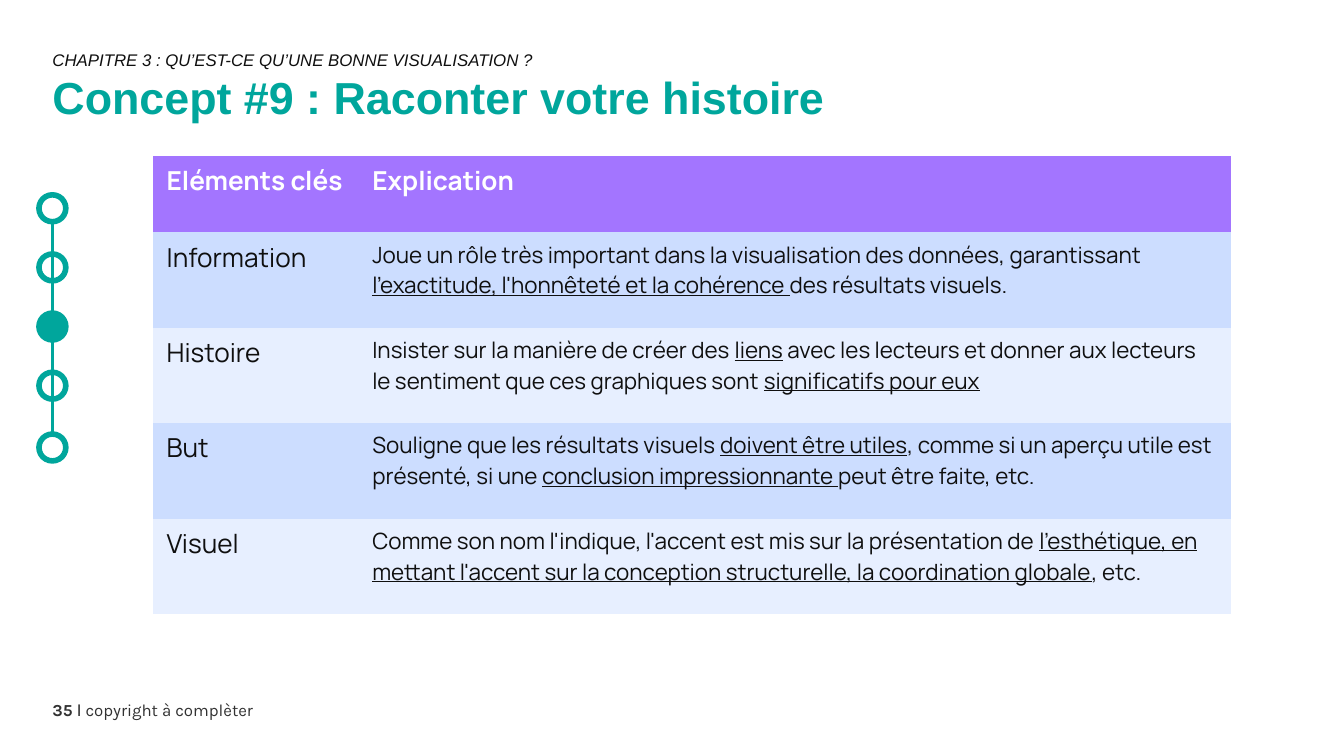
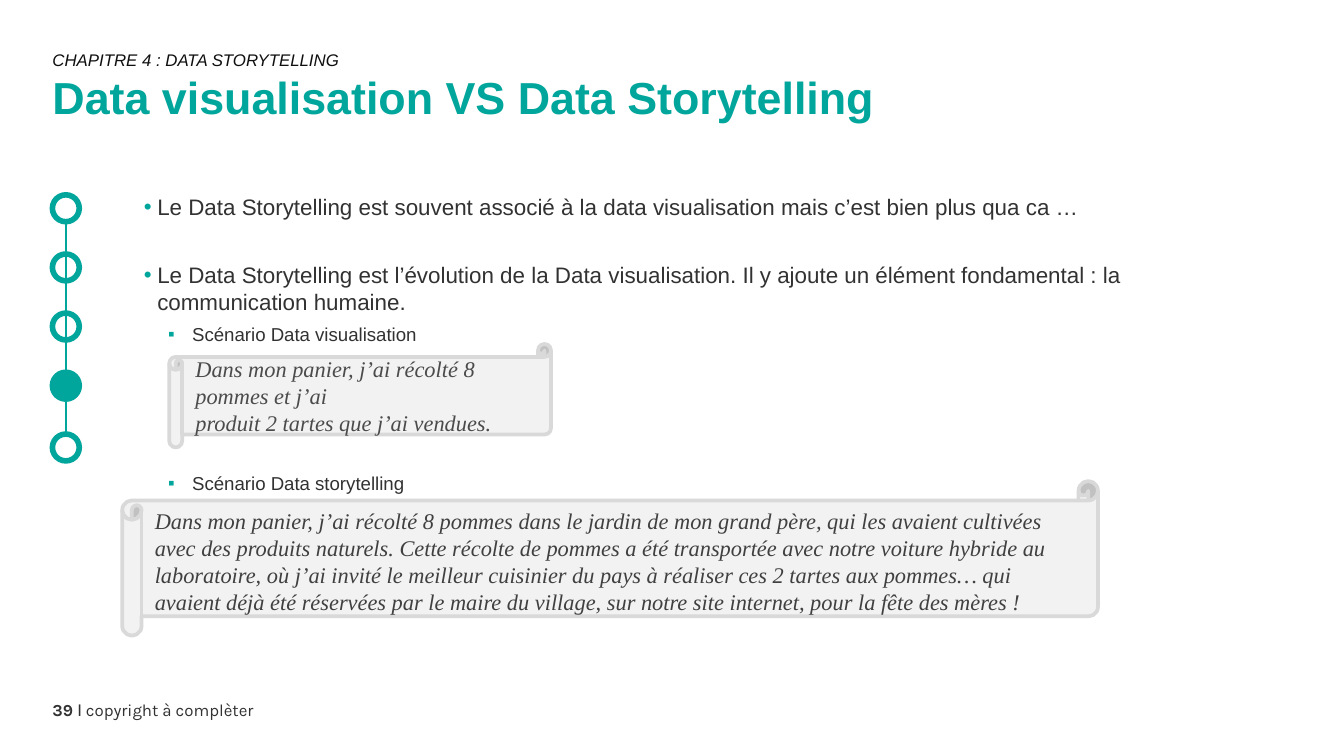
from lxml import etree
from pptx import Presentation, util as u
from pptx.dml.color import RGBColor
from pptx.enum import shapes, text
from pptx.oxml import ns

PX = 9144  # 100 px to the inch
SLIDE_WIDTH = 1000
TEAL = RGBColor(0x00, 0xA6, 0x9C)
PURPLE = RGBColor(0xA3, 0x75, 0xFF)
BLUE = RGBColor(0xCC, 0xDD, 0xFF)
PALE_BLUE = RGBColor(0xE7, 0xEF, 0xFF)
WHITE = RGBColor(0xFF, 0xFF, 0xFF)
BLACK = RGBColor(0x0F, 0x0F, 0x0F)
DARK = RGBColor(0x32, 0x32, 0x32)
GREY = RGBColor(0x40, 0x40, 0x40)
MID_GREY = RGBColor(0x4B, 0x4B, 0x4B)
SCROLL_FILL = RGBColor(0xF2, 0xF2, 0xF2)
SCROLL_LINE = RGBColor(0xD9, 0xD9, 0xD9)
NO_TABLE_STYLE = "{2D5ABB26-0587-4C30-8999-92F81FD0307C}"

MARGIN = 39
STEP_TOPS = (145, 189, 233, 277, 323)
STEP_SIZE = 20


def px(*lengths):
    return [u.Emu(n * PX) for n in lengths]


class Deck:
    def __init__(self):
        self.prs = Presentation()
        self.prs.slide_width = u.Emu(SLIDE_WIDTH * PX)
        self.prs.slide_height = u.Emu(SLIDE_WIDTH * PX * 9 // 16)
        self.s = None

    # Shared frame: chapter, title, footer
    def slide(self, number, chapter, title):
        self.s = self.prs.slides.add_slide(self.prs.slide_layouts[6])
        p = self.box(MARGIN, 521, 236, 20).paragraphs[0]
        self.run(p, f"{number} ", 9, DARK, "Karla", bold=True)
        self.run(p, "I", 9, DARK)
        self.run(p, " copyright à complèter", 9, DARK, "Karla")
        p = self.box(MARGIN, 37, 394, 20).paragraphs[0]
        self.run(p, chapter, 9, BLACK, italic=True)
        p = self.box(MARGIN, 52, 925, 51).paragraphs[0]
        self.run(p, title, 24, TEAL, bold=True)

    def run(self, p, words, size, color, font="Arial", bold=False,
            italic=False, underline=False):
        r = p.add_run()
        r.text = words
        f = r.font
        f.size, f.name, f.bold, f.italic = u.Pt(size), font, bold, italic
        f.underline = underline
        f.color.rgb = color

    def box(self, *at):
        tf = self.s.shapes.add_textbox(*px(*at)).text_frame
        tf.word_wrap = True
        tf.margin_left = tf.margin_top = tf.margin_right = tf.margin_bottom = 0
        return tf

    def shape(self, kind, at, fill, line, width):
        sp = self.s.shapes.add_shape(kind, *px(*at))
        sp.shadow.inherit = False
        if fill is None:
            sp.fill.background()
        else:
            sp.fill.solid()
            sp.fill.fore_color.rgb = fill
        sp.line.color.rgb = line
        sp.line.width = u.Pt(width)
        return sp

    # Progress track: white ends, hollow middle steps, filled current step
    def progress(self, left, current):
        half = STEP_SIZE // 2
        x = left + half
        line = self.s.shapes.add_connector(
            shapes.MSO_CONNECTOR.STRAIGHT,
            *px(x, STEP_TOPS[0] + half, x, STEP_TOPS[-1] + half))
        line.line.color.rgb = TEAL
        line.line.width = u.Pt(1.25)
        etree.SubElement(line._element.spPr, ns.qn("a:effectLst"))
        for i, top in enumerate(STEP_TOPS):
            fill = WHITE if i in (0, len(STEP_TOPS) - 1) else None
            self.shape(shapes.MSO_SHAPE.OVAL, (left, top, STEP_SIZE, STEP_SIZE),
                       TEAL if i == current else fill, TEAL, 3)

    # Table: text between underscores is underlined
    def table(self, left, top, widths, heights, rows):
        frame = self.s.shapes.add_table(
            len(rows), len(widths), *px(left, top, sum(widths), sum(heights)))
        for style in frame._element.iter(ns.qn("a:tableStyleId")):
            style.text = NO_TABLE_STYLE
        table = frame.table
        for column, width in zip(table.columns, px(*widths)):
            column.width = width
        for i, (row, height) in enumerate(zip(table.rows, px(*heights))):
            row.height = height
            head = i == 0
            for j, cell in enumerate(row.cells):
                cell.fill.solid()
                cell.fill.fore_color.rgb = (
                    PURPLE if head else BLUE if i % 2 else PALE_BLUE)
                p = cell.text_frame.paragraphs[0]
                for k, part in enumerate(rows[i][j].split("_")):
                    if part:
                        self.run(p, part, 14 if head or j == 0 else 12,
                                 WHITE if head else BLACK, "Manrope",
                                 bold=head, underline=k % 2 == 1)

    # Bullets: (level, space before in points, words)
    def bullets(self, at, items):
        tf = self.box(*at)
        for i, (level, before, words) in enumerate(items):
            p = tf.add_paragraph() if i else tf.paragraphs[0]
            p.level = level
            indent, hang, mark, size = ((10, 10, "•", 12), (36, 18, "▪", 10))[level]
            pPr = p._p.get_or_add_pPr()
            pPr.set("marL", str(indent * PX))
            pPr.set("indent", str(-hang * PX))
            color = etree.SubElement(pPr, ns.qn("a:buClr"))
            etree.SubElement(color, ns.qn("a:srgbClr"), val=str(TEAL))
            etree.SubElement(pPr, ns.qn("a:buFont"), typeface="Arial")
            etree.SubElement(pPr, ns.qn("a:buChar"), char=mark)
            if before:
                p.space_before = u.Pt(before)
            p.space_after = u.Pt(4)
            self.run(p, words, size, DARK)

    def scroll(self, at, lines, color, anchor):
        sp = self.shape(shapes.MSO_SHAPE.HORIZONTAL_SCROLL, at,
                        SCROLL_FILL, SCROLL_LINE, 2)
        tf = sp.text_frame
        tf.word_wrap = True
        tf.vertical_anchor = anchor
        for i, words in enumerate(lines):
            p = tf.add_paragraph() if i else tf.paragraphs[0]
            p.alignment = text.PP_ALIGN.LEFT
            self.run(p, words, 12, color, "Times New Roman", italic=True)


def main():
    deck = Deck()

    # Key elements of a story
    deck.slide(35, "CHAPITRE 3 : QU’EST-CE QU’UNE BONNE VISUALISATION ?",
               "Concept #9 : Raconter votre histoire")
    deck.table(114, 116, (153, 649), (57, 71, 71, 71, 71), (
        ("Eléments clés", "Explication"),
        ("Information",
         "Joue un rôle très important dans la visualisation des données, garantissant "
         "_l'exactitude, l'honnêteté et la cohérence _des résultats visuels."),
        ("Histoire",
         "Insister sur la manière de créer des _liens_ avec les lecteurs et donner aux "
         "lecteurs le sentiment que ces graphiques sont _significatifs pour eux_"),
        ("But",
         "Souligne que les résultats visuels _doivent être utiles_, comme si un aperçu "
         "utile est présenté, si une _conclusion impressionnante _peut être faite, etc."),
        ("Visuel",
         "Comme son nom l'indique, l'accent est mis sur la présentation de "
         "_l'esthétique, en mettant l'accent sur la conception structurelle, "
         "la coordination globale_, etc."),
    ))
    deck.progress(29, current=2)

    # Visualisation against storytelling
    deck.slide(39, "CHAPITRE 4 : DATA STORYTELLING",
               "Data visualisation VS Data Storytelling")
    deck.bullets((107, 144, 755, 222), (
        (0, 0, "Le Data Storytelling est souvent associé à la data visualisation "
               "mais c’est bien plus qua ca …"),
        (0, 18, "Le Data Storytelling est l’évolution de la Data visualisation. "
                "Il y ajoute un élément fondamental : la communication humaine."),
        (1, 0, "Scénario Data visualisation"),
        (1, 64, "Scénario Data storytelling"),
    ))
    deck.progress(39, current=3)
    deck.scroll((91, 358, 726, 115), (
        "Dans mon panier, j’ai récolté 8 pommes dans le jardin de mon grand père, "
        "qui les avaient cultivées avec des produits naturels. Cette récolte de "
        "pommes a été transportée avec notre voiture hybride au laboratoire, où "
        "j’ai invité le meilleur cuisinier du pays à réaliser ces 2 tartes aux "
        "pommes… qui avaient déjà été réservées par le maire du village, sur notre "
        "site internet, pour la fête des mères !",
    ), GREY, text.MSO_ANCHOR.TOP)
    deck.scroll((126, 256, 284, 77), (
        "Dans mon panier, j’ai récolté 8 pommes et j’ai",
        "produit 2 tartes que j’ai vendues.",
    ), MID_GREY, text.MSO_ANCHOR.MIDDLE)

    deck.prs.save("out.pptx")


if __name__ == "__main__":
    main()
